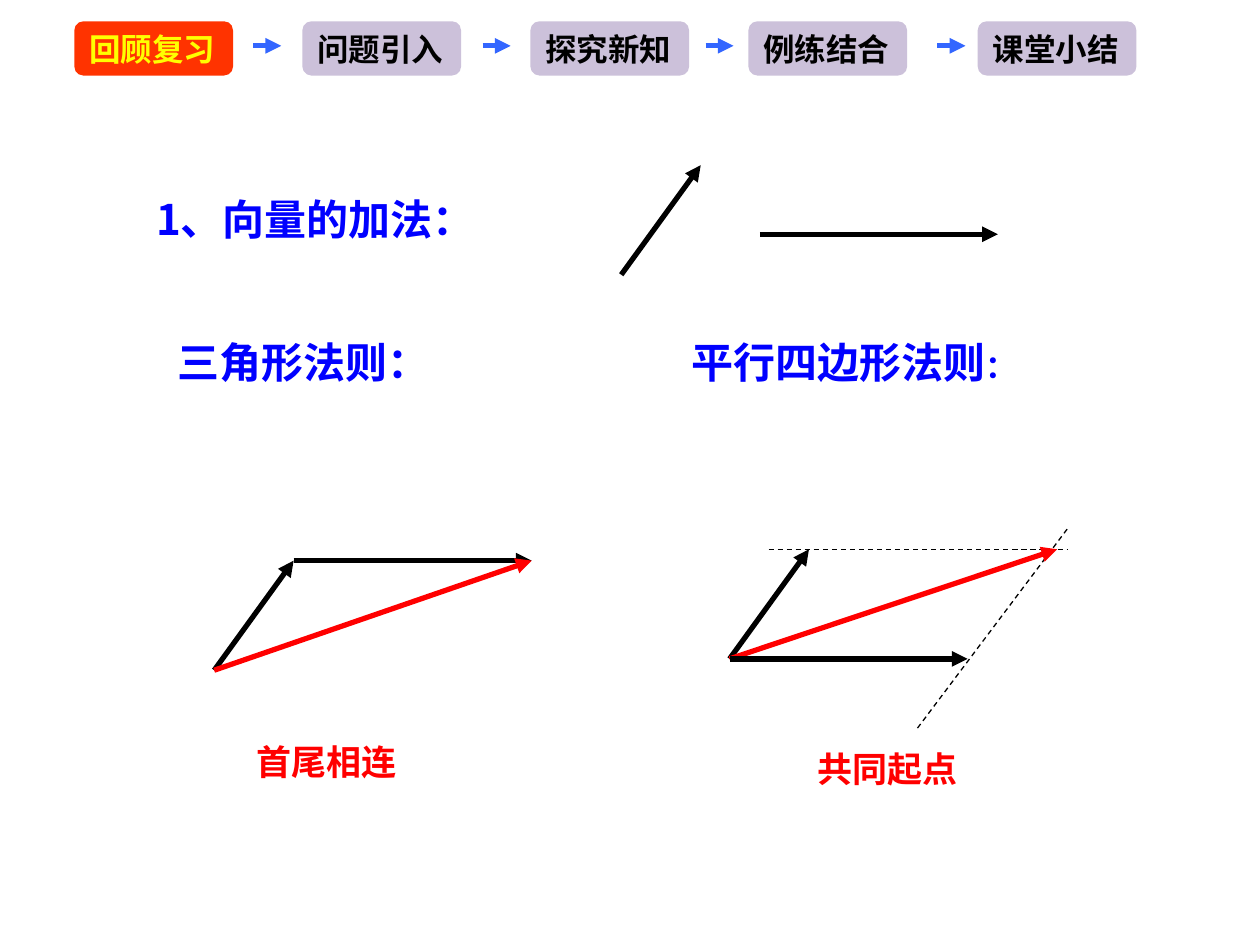
from lxml import etree
from pptx import Presentation
from pptx.dml.color import RGBColor
from pptx.enum.dml import MSO_LINE
from pptx.enum.shapes import MSO_CONNECTOR, MSO_SHAPE
from pptx.enum.text import MSO_ANCHOR, PP_ALIGN
from pptx.oxml.ns import qn
from pptx.util import Pt

DASH = MSO_LINE.DASH
LINE = MSO_CONNECTOR.STRAIGHT
ROUND = MSO_SHAPE.ROUNDED_RECTANGLE
MIDDLE = MSO_ANCHOR.MIDDLE
LEFT, CENTER, JUST = PP_ALIGN.LEFT, PP_ALIGN.CENTER, PP_ALIGN.JUSTIFY

BLACK = RGBColor(0x00, 0x00, 0x00)
RED = RGBColor(0xFF, 0x00, 0x00)
BLUE = RGBColor(0x00, 0x00, 0xFF)
YELLOW = RGBColor(0xFF, 0xFF, 0x00)
ORANGE = RGBColor(0xFF, 0x33, 0x00)
LILAC = RGBColor(0xCC, 0xC1, 0xDA)
SKY = RGBColor(0x33, 0x66, 0xFF)

SANS = "Noto Sans CJK SC"
NAV = "Noto Sans CJK JP"

STEPS = [
    ("回顾复习", 42.5),
    ("问题引入", 172.8),
    ("探究新知", 303.1),
    ("例练结合", 427.7),
    ("课堂小结", 558.7),
]
GAPS = [144.7, 275.8, 403.2, 535.7]
SIDE = (45.4, -62.6)
BASE = (136, 0)
SUM = (SIDE[0] + BASE[0], SIDE[1] + BASE[1])


def write(para, text, size=24, color=BLUE, font=SANS, align=LEFT):
    para.alignment = align
    run = para.add_run()
    run.text = text
    run.font.size = Pt(size)
    run.font.bold = True
    run.font.color.rgb = color
    run.font.name = font
    east = etree.SubElement(run.font._element, qn("a:ea"))
    east.set("typeface", font)


def label(slide, left, top, width, height, text, **form):
    box = slide.shapes.add_textbox(Pt(left), Pt(top), Pt(width), Pt(height))
    box.text_frame.word_wrap = True
    para = box.text_frame.paragraphs[0]
    write(para, text, **form)
    return para


def step(slide, text, left, fill, color):
    box = slide.shapes.add_shape(ROUND, Pt(left), Pt(12.2), Pt(90.7), Pt(31))
    box.shadow.inherit = False
    box.fill.solid()
    box.fill.fore_color.rgb = fill
    box.line.fill.background()
    frame = box.text_frame
    frame.word_wrap = False
    frame.vertical_anchor = MIDDLE
    write(frame.paragraphs[0], text, size=18, color=color, font=NAV, align=JUST)


def stroke(slide, start, end, color=BLACK, width=0.75):
    ends = [Pt(n) for n in (*start, *end)]
    line = slide.shapes.add_connector(LINE, *ends)
    line.line.color.rgb = color
    line.line.width = Pt(width)
    etree.SubElement(line._element.spPr, qn("a:effectLst"))
    return line


def vector(slide, start, move, color=BLACK):
    end = (start[0] + move[0], start[1] + move[1])
    line = stroke(slide, start, end, color, 3)
    tail = etree.SubElement(line.line._get_or_add_ln(), qn("a:tailEnd"))
    tail.set("type", "triangle")
    return end


def menu(slide):
    for spot, (text, left) in enumerate(STEPS):
        fill, color = (LILAC, BLACK) if spot else (ORANGE, YELLOW)
        step(slide, text, left, fill, color)
    for left in GAPS:
        vector(slide, (left, 26.2), (16, 0), SKY)


def titles(slide):
    label(slide, 82.1, 107.3, 258.5, 36, "1、向量的加法：")
    label(slide, 94.3, 188.6, 273.6, 36, "三角形法则：")
    para = label(slide, 388.1, 188.6, 221.8, 36, "平行四边形法则")
    write(para, "：", size=18, font="Arial")
    note = {"size": 20, "color": RED, "align": CENTER}
    label(slide, 127.4, 419.8, 118.8, 31.7, "首尾相连", **note)
    label(slide, 439.2, 423.4, 136.1, 31.7, "共同起点", **note)


def triangle(slide):
    start = (122.4, 383)
    corner = vector(slide, start, SIDE)
    vector(slide, corner, BASE)
    vector(slide, start, SUM, RED)


def rhomboid(slide):
    for start, end in [
        ((609.8, 302.4), (524.2, 416.2)),
        ((439.2, 313.9), (609.8, 313.9)),
    ]:
        stroke(slide, start, end).line.dash_style = DASH
    start = (416.9, 376.5)
    vector(slide, start, SIDE)
    vector(slide, start, (187.2, -62.6), RED)
    vector(slide, start, BASE)


def main():
    deck = Presentation()
    deck.slide_width, deck.slide_height = Pt(720), Pt(540)
    slide = deck.slides.add_slide(deck.slide_layouts[6])
    menu(slide)
    titles(slide)
    vector(slide, (434.2, 133.9), BASE)
    vector(slide, (355, 157), SIDE)
    triangle(slide)
    rhomboid(slide)
    deck.save("out.pptx")


if __name__ == "__main__":
    main()
